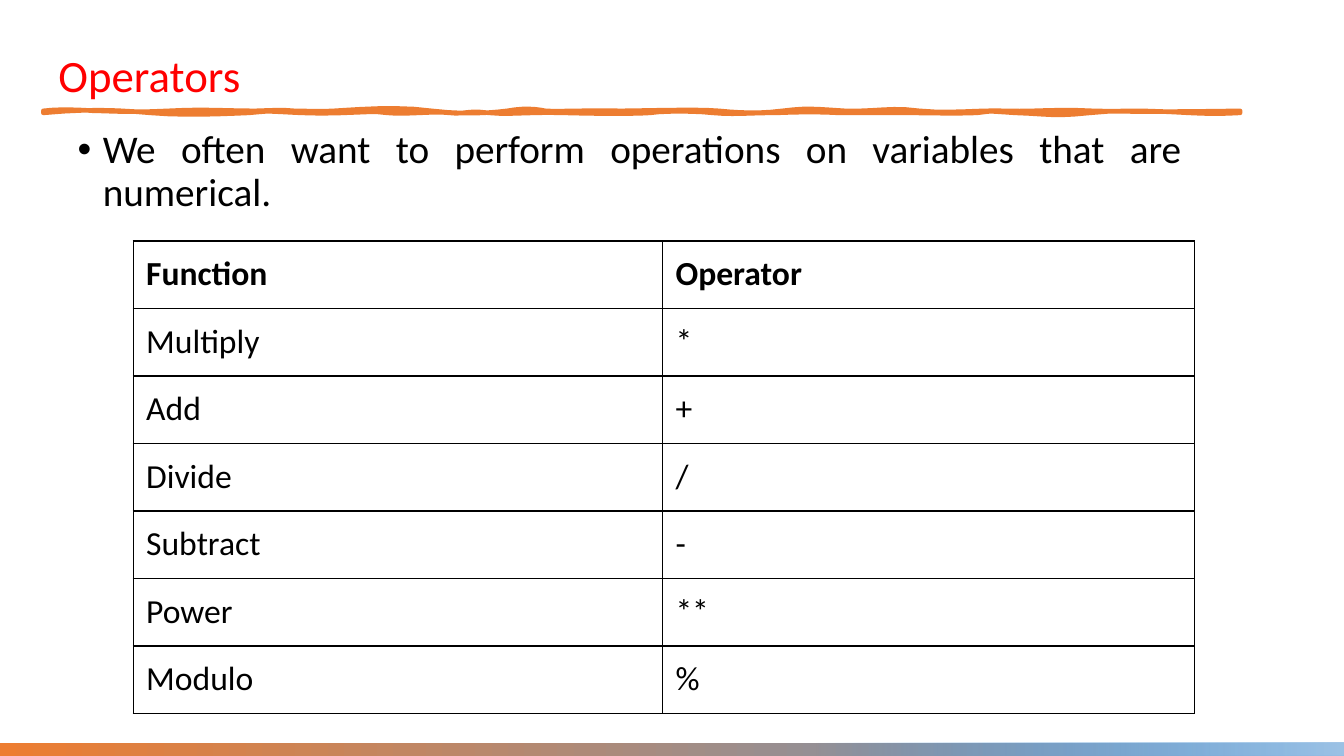
from typing import NamedTuple

from lxml import etree
from pptx import Presentation
from pptx.dml.color import RGBColor
from pptx.enum.shapes import MSO_SHAPE
from pptx.enum.text import MSO_ANCHOR, MSO_AUTO_SIZE, PP_ALIGN
from pptx.oxml.ns import qn
from pptx.util import Inches, Pt

RECT = MSO_SHAPE.RECTANGLE
TOP, MIDDLE = MSO_ANCHOR.TOP, MSO_ANCHOR.MIDDLE
LEFT, JUSTIFY = PP_ALIGN.LEFT, PP_ALIGN.JUSTIFY
NO_FIT = MSO_AUTO_SIZE.NONE

BLACK = RGBColor(0x00, 0x00, 0x00)
RED = RGBColor(0xFF, 0x00, 0x00)
ORANGE = RGBColor(0xED, 0x7D, 0x31)
BLUE = RGBColor(0x5B, 0x9B, 0xD5)
PALE = RGBColor(0x9D, 0xC3, 0xE6)
FONT = "Calibri"
INSET = Inches(0.13)
STEPS = 6


class Wave(NamedTuple):
    """One curve of the brush line: two control points and the end x."""
    x1: float
    y1: float
    x2: float
    y2: float
    end: float


class Band(NamedTuple):
    left: float
    width: float
    start: RGBColor
    stop: RGBColor
    offset: float
    clear: bool


UPPER = [
    Wave(0.59, 1.08, 0.81, 1.09, 0.93), Wave(1.06, 1.1, 1.31, 1.12, 1.67),
    Wave(2.04, 1.08, 2.21, 1.1, 2.53), Wave(2.86, 1.09, 2.76, 1.09, 2.92),
    Wave(3.07, 1.1, 3.11, 1.11, 3.31), Wave(3.5, 1.09, 3.94, 1.05, 4.28),
    Wave(4.63, 1.14, 4.87, 1.12, 5.03), Wave(5.19, 1.07, 5.32, 1.08, 5.41),
    Wave(5.5, 1.11, 5.94, 1.09, 6.15), Wave(6.37, 1.1, 6.93, 1.08, 7.13),
    Wave(7.34, 1.12, 7.52, 1.13, 7.76), Wave(8, 1.07, 8.07, 1.08, 8.38),
    Wave(8.69, 1.11, 8.83, 1.06, 9.12), Wave(9.41, 1.13, 9.72, 1.09, 9.98),
    Wave(10.25, 1.11, 10.48, 1.08, 10.84), Wave(11.21, 1.11, 11.69, 1.11, 12.3),
]
LOWER = [
    Wave(12.12, 1.13, 11.99, 1.13, 11.79), Wave(11.59, 1.11, 11.18, 1.08, 10.81),
    Wave(10.44, 1.16, 10.4, 1.13, 10.07), Wave(9.74, 1.1, 9.88, 1.1, 9.69),
    Wave(9.5, 1.13, 9.17, 1.12, 8.94), Wave(8.71, 1.12, 8.53, 1.12, 8.32),
    Wave(8.11, 1.11, 7.97, 1.11, 7.7), Wave(7.42, 1.12, 7.27, 1.14, 7.07),
    Wave(6.88, 1.1, 6.58, 1.1, 6.45), Wave(6.33, 1.13, 5.93, 1.13, 5.59),
    Wave(5.25, 1.11, 5.06, 1.14, 4.85), Wave(4.63, 1.09, 4.6, 1.14, 4.46),
    Wave(4.32, 1.1, 4, 1.14, 3.84), Wave(3.68, 1.09, 3.4, 1.14, 2.98),
    Wave(2.56, 1.1, 2.72, 1.1, 2.47), Wave(2.23, 1.13, 1.83, 1.15, 1.49),
    Wave(1.16, 1.09, 0.87, 1.08, 0.43),
]
BANDS = [
    Band(0, 13.33, ORANGE, BLUE, 0, False),
    Band(6.86, 6.47, BLUE, PALE, 0.19, True),
]
ROWS = [
    ("Function", "Operator"), ("Multiply", "*"), ("Add", "+"), ("Divide", "/"),
    ("Subtract", "-"), ("Power", "**"), ("Modulo", "%"),
]


def trace(x: float, y: float, waves: list[Wave]) -> list[tuple[int, int]]:
    """Sample a chain of cubic curves whose ends all lie at height y."""
    points = [(Inches(x), Inches(y))]
    for wave in waves:
        for step in range(1, STEPS + 1):
            t = step / STEPS
            a, b, c, d = (1 - t) ** 3, 3 * t * (1 - t) ** 2, 3 * t * t * (1 - t), t ** 3
            px = a * x + b * wave.x1 + c * wave.x2 + d * wave.end
            py = (a + d) * y + b * wave.y1 + c * wave.y2
            points.append((Inches(px), Inches(py)))
        x = wave.end
    return points


def draw_brush(shapes) -> None:
    points = trace(0.43, 1.1, UPPER) + trace(12.3, 1.12, LOWER)
    pen = shapes.build_freeform(*points[0])
    pen.add_line_segments(points[1:], close=True)
    brush = pen.convert_to_shape()
    brush.shadow.inherit = False
    brush.fill.solid()
    brush.fill.fore_color.rgb = ORANGE
    brush.line.color.rgb = ORANGE
    brush.line.width = Pt(3.25)
    etree.SubElement(brush.line._ln, qn("a:round"))


def draw_band(shapes, band: Band) -> None:
    bar = shapes.add_shape(RECT, Inches(band.left), Inches(7.37),
                           Inches(band.width), Inches(0.13))
    bar.shadow.inherit = False
    bar.line.fill.background()
    bar.fill.gradient()
    bar.fill.gradient_angle = 0
    first, last = bar.fill.gradient_stops
    first.color.rgb, first.position = band.start, band.offset
    last.color.rgb, last.position = band.stop, 1
    if band.clear:
        tint = bar.fill._xPr.find(".//" + qn("a:srgbClr"))
        etree.SubElement(tint, qn("a:alpha"), val="0")


def style(part, size: int, color: RGBColor, bold: bool = False) -> None:
    for run in part.runs:
        run.font.name, run.font.size = FONT, Pt(size)
        run.font.color.rgb, run.font.bold = color, bold


def set_text(holder, box: tuple, text: str, size: int, color: RGBColor,
             align: PP_ALIGN, anchor: MSO_ANCHOR):
    holder.left, holder.top, holder.width, holder.height = map(Inches, box)
    frame = holder.text_frame
    frame.text = text
    frame.word_wrap, frame.auto_size = True, NO_FIT
    frame.vertical_anchor = anchor
    frame.margin_left = frame.margin_right = INSET
    frame.margin_top = frame.margin_bottom = INSET
    part = frame.paragraphs[0]
    part.alignment, part.line_spacing = align, 0.9
    style(part, size, color)
    return part


def add_bullet(part) -> None:
    part.space_before = Pt(10)
    props = part._p.get_or_add_pPr()
    props.set("marL", str(Inches(0.25)))
    props.set("indent", str(-Inches(0.25)))
    etree.SubElement(props, qn("a:buFont"), typeface="Arial")
    etree.SubElement(props, qn("a:buChar"), char="•")


def fill_cell(cell, text: str, bold: bool) -> None:
    cell.text = text
    cell.margin_left = cell.margin_right = INSET
    cell.margin_top = cell.margin_bottom = INSET
    style(cell.text_frame.paragraphs[0], 24, BLACK, bold)
    cell.fill.background()
    props = cell._tc.get_or_add_tcPr()
    for i, side in enumerate(("lnL", "lnR", "lnT", "lnB")):
        edge = etree.Element(qn("a:" + side), w=str(Pt(1)))
        paint = etree.SubElement(edge, qn("a:solidFill"))
        etree.SubElement(paint, qn("a:srgbClr"), val=str(BLACK))
        props.insert(i, edge)


def draw_table(shapes) -> None:
    high = 0.67
    table = shapes.add_table(len(ROWS), 2, Inches(1.32), Inches(2.39),
                             Inches(10.53), Inches(high * len(ROWS))).table
    table.first_row = table.horz_banding = False
    for col, width in zip(table.columns, (5.25, 5.28)):
        col.width = Inches(width)
    for r, texts in enumerate(ROWS):
        table.rows[r].height = Inches(high)
        for c, text in enumerate(texts):
            fill_cell(table.cell(r, c), text, r == 0)


def main() -> None:
    deck = Presentation()
    deck.slide_width, deck.slide_height = Inches(13.33), Inches(7.5)
    slide = deck.slides.add_slide(deck.slide_layouts[1])
    shapes = slide.shapes

    # Brush line and foot bands
    draw_brush(shapes)
    for band in BANDS:
        draw_band(shapes, band)

    # Title and list
    set_text(shapes.title, (0.45, 0.38, 11.21, 0.78), "Operators",
             32, RED, LEFT, MIDDLE)
    point = set_text(
        slide.placeholders[1], (0.64, 1.16, 11.21, 4.15),
        "We often want to perform operations on variables that are numerical.",
        28, BLACK, JUSTIFY, TOP)
    add_bullet(point)

    # Table of operators
    draw_table(shapes)
    deck.save("out.pptx")


if __name__ == "__main__":
    main()
